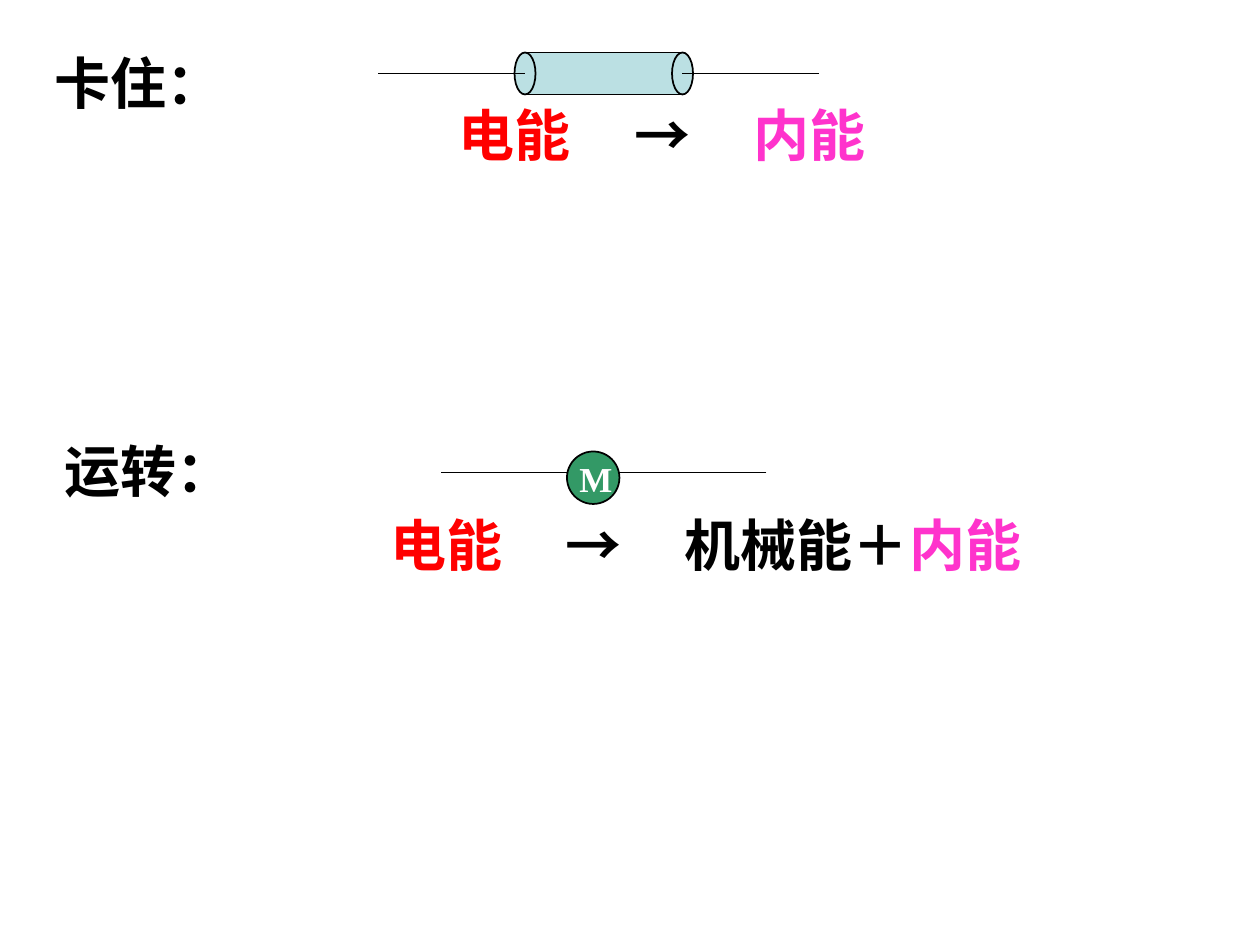
from lxml.etree import SubElement
from pptx import Presentation
from pptx.dml.color import RGBColor
from pptx.enum.shapes import MSO_CONNECTOR as Connector, MSO_SHAPE as Shape
from pptx.enum.text import MSO_AUTO_SIZE as AutoSize
from pptx.oxml.ns import qn
from pptx.util import Pt

BLACK = RGBColor(0x00, 0x00, 0x00)
WHITE = RGBColor(0xFF, 0xFF, 0xFF)
RED = RGBColor(0xFF, 0x00, 0x00)
PINK = RGBColor(0xFF, 0x33, 0xCC)
PALE_BLUE = RGBColor(0xBB, 0xE0, 0xE3)
GREEN = RGBColor(0x33, 0x99, 0x66)

# Content: box (left, top, width, height), left inset, size, coloured runs
INSET = 7.2
ENERGY_TABS = (100.2, 168.2)  # arrow, then resulting energy
TEXTS = [
    ((216, 54, 325.5, 45.5), INSET + 39, 32,
     [("电能", RED), ("\t→\t", BLACK), ("内能", PINK)]),
    ((24, 24, 160.5, 45.5), INSET, 32, [("卡住：", BLACK)]),
    ((30, 246, 132, 45.5), INSET, 32, [("运转：", BLACK)]),
    ((324, 258, 36, 31), INSET, 20, [("M", WHITE)]),
    ((216, 288, 414, 45.5), INSET, 32,
     [("电能", RED), ("\t→\t机械能＋", BLACK), ("内能", PINK)]),
]

# Circuit symbols and the outer ends of their wires
RESISTOR = (300, 30, 90, 24)
CAP_WIDTH = 12
RESISTOR_WIRE_ENDS = (216, 468)
MOTOR = (324, 258, 30, 30)
MOTOR_WIRE_ENDS = (252, 438)
MOTOR_WIRE_Y = 270


def add_symbol(slide, kind, box, color):
    shape = slide.shapes.add_shape(kind, *map(Pt, box))
    shape.shadow.inherit = False
    shape.fill.solid()
    shape.fill.fore_color.rgb = color
    shape.line.color.rgb = BLACK
    shape.line.width = Pt(1)
    return shape


def add_wires(slide, ends, box, y):
    """Draw a wire from each outer end to the symbol's near side."""
    left, _, width, _ = box
    wires = []
    for outer, inner in zip(ends, (left, left + width)):
        wire = slide.shapes.add_connector(
            Connector.STRAIGHT, Pt(outer), Pt(y), Pt(inner), Pt(y))
        wire.line.color.rgb = BLACK
        wire.line.width = Pt(1)
        SubElement(wire._element.spPr, qn("a:effectLst"))
        wires.append(wire)
    return wires


def add_text(slide, box, inset, size, runs):
    frame = slide.shapes.add_textbox(*map(Pt, box)).text_frame
    frame.word_wrap = True
    frame.auto_size = AutoSize.SHAPE_TO_FIT_TEXT
    frame.margin_left = Pt(inset)
    paragraph = frame.paragraphs[0]
    if len(runs) > 1:
        tabs = SubElement(paragraph._p.get_or_add_pPr(), qn("a:tabLst"))
        for position in ENERGY_TABS:
            SubElement(tabs, qn("a:tab"), pos=str(Pt(position)), algn="l")
    font_format = {"name": "Times New Roman", "size": Pt(size), "bold": True}
    for text, color in runs:
        run = paragraph.add_run()
        run.text = text
        for name, value in font_format.items():
            setattr(run.font, name, value)
        run.font.color.rgb = color


def main():
    presentation = Presentation()
    presentation.slide_width, presentation.slide_height = Pt(720), Pt(540)
    slide = presentation.slides.add_slide(presentation.slide_layouts[6])

    # Stalled motor: a resistor with rounded ends
    left, top, width, height = RESISTOR
    body = add_symbol(slide, Shape.RECTANGLE, RESISTOR, PALE_BLUE)
    for center in (left, left + width):
        cap = (center - CAP_WIDTH / 2, top, CAP_WIDTH, height)
        add_symbol(slide, Shape.OVAL, cap, PALE_BLUE)
    wires = add_wires(slide, RESISTOR_WIRE_ENDS, RESISTOR, top + height / 2)
    for wire, side in zip(wires, (1, 3)):
        wire.end_connect(body, side)

    # Running motor
    add_symbol(slide, Shape.OVAL, MOTOR, GREEN)
    add_wires(slide, MOTOR_WIRE_ENDS, MOTOR, MOTOR_WIRE_Y)

    # Labels and energy conversions
    for text in TEXTS:
        add_text(slide, *text)

    presentation.save("out.pptx")


if __name__ == "__main__":
    main()
